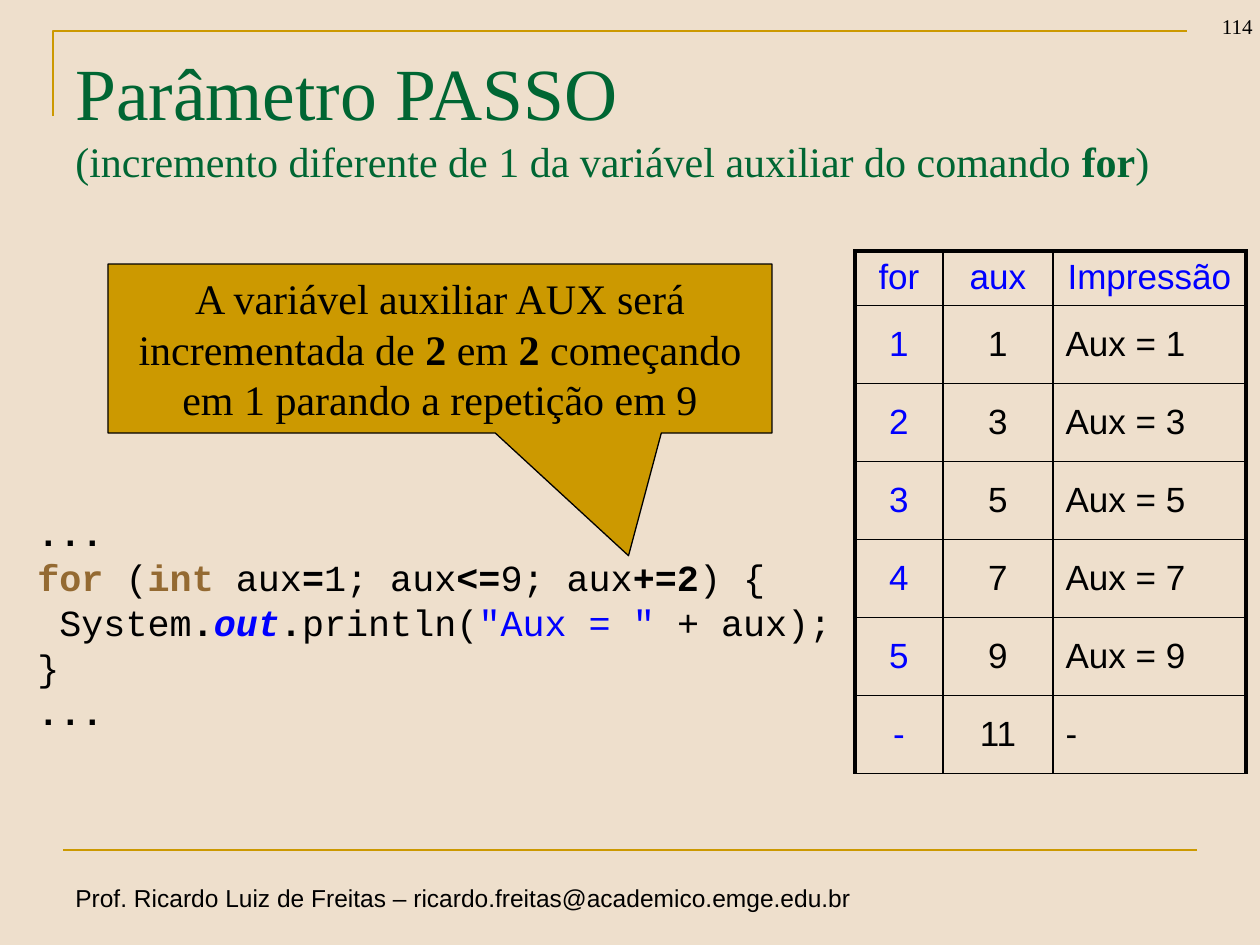
import dataclasses

import pptx
import pptx.dml.color
import pptx.enum.shapes
import pptx.enum.text
import pptx.oxml
import pptx.oxml.ns
import pptx.util

ANCHOR = pptx.enum.text.MSO_ANCHOR
ALIGN = pptx.enum.text.PP_ALIGN


@dataclasses.dataclass(frozen=True)
class Theme:
    """Hold the colours, fonts and type sizes of the slide."""

    background: str = "EEDFCC"
    gold: str = "CC9900"
    green: str = "006633"
    ink: str = "000000"
    blue: str = "0000FF"
    keyword: str = "946A32"
    serif: str = "Times New Roman"
    sans: str = "Arial"
    mono: str = "Courier New"
    title: int = 42
    subtitle: int = 24
    code: int = 21
    table: int = 20
    footer: int = 14
    number: int = 12
    rule: float = 1.5
    frame: float = 2.25
    grid: float = 1
    outline: float = 0.75


THEME = Theme()

CODE = [
    [("...", "b")],
    [("for", "bk"), (" (", ""), ("int ", "bk"), ("aux", ""), ("=", "b"), ("1; aux", ""),
     ("<=", "b"), ("9; aux", ""), ("+=2", "b"), (") {", "")],
    [(" System", ""), (".", "b"), ("out", "biu"), (".", "b"), ("println(", ""),
     ('"Aux = "', "u"), (" + aux);", "")],
    [("}", "")],
    [("...", "b")],
]

TRACE = [
    ("for", "aux", "Impressão"),
    *((str(step), str(2 * step - 1), f"Aux = {2 * step - 1}") for step in range(1, 6)),
    ("-", "11", "-"),
]


def px(length):
    """Turn pixels into EMU."""
    return pptx.util.Inches(length / 126)


def rgb(colour):
    """Turn a hex string into a colour."""
    return pptx.dml.color.RGBColor.from_string(colour)


def style_font(font, face, size, colour, marks=""):
    """Format a font; marks are b for bold and i for italic."""
    font.name = face
    font.size = pptx.util.Pt(size)
    font.color.rgb = rgb(colour)
    font.bold = "b" in marks
    font.italic = "i" in marks


def add_runs(paragraph, pieces, face, size, colour):
    """Append marked pieces; k and u switch to the keyword and blue colours."""
    accents = {"k": THEME.keyword, "u": THEME.blue}
    for text, marks in pieces:
        run = paragraph.add_run()
        run.text = text
        tint = next((accents[mark] for mark in marks if mark in accents), colour)
        style_font(run.font, face, size, tint, marks)


def add_box(slide, left, top, width, height, anchor=ANCHOR.TOP, wrap=True):
    """Add an empty text box and return its text frame."""
    frame = slide.shapes.add_textbox(px(left), px(top), px(width), px(height)).text_frame
    frame.word_wrap = wrap
    frame.vertical_anchor = anchor
    return frame


def style_line(line, colour, width):
    """Set the colour and width of a line."""
    line.color.rgb = rgb(colour)
    line.width = pptx.util.Pt(width)


def add_rules(slide):
    """Draw the corner rule at the top and the rule above the footer."""
    builder = slide.shapes.build_freeform(px(53), px(116))
    builder.add_line_segments([(px(53), px(31)), (px(1187), px(31))], close=False)
    corner = builder.convert_to_shape()
    corner.shadow.inherit = False
    corner.fill.background()
    style_line(corner.line, THEME.gold, THEME.rule)
    straight = pptx.enum.shapes.MSO_CONNECTOR.STRAIGHT
    base = slide.shapes.add_connector(straight, px(63), px(850), px(1197), px(850))
    style_line(base.line, THEME.gold, THEME.rule)
    properties = base._element.find(pptx.oxml.ns.qn("p:spPr"))
    pptx.oxml.ns.qn("a:effectLst")
    properties.append(pptx.oxml.parse_xml(f'<a:effectLst {pptx.oxml.ns.nsdecls("a")}/>'))


def add_title(slide):
    """Write the title and its smaller second line."""
    heading = add_box(slide, 63, 38, 1134, 157, ANCHOR.MIDDLE).paragraphs[0]
    add_runs(heading, [("Parâmetro PASSO", "")], THEME.serif, THEME.title, THEME.green)
    heading.add_line_break()
    subtitle = [("(incremento diferente de 1 da variável auxiliar do comando ", ""),
                ("for", "b"), (")", "")]
    add_runs(heading, subtitle, THEME.serif, THEME.subtitle, THEME.green)


def add_margins(slide):
    """Write the page number and the footer."""
    number = add_box(slide, 1171, -18, 94, 63, ANCHOR.BOTTOM).paragraphs[0]
    number.alignment = ALIGN.RIGHT
    add_runs(number, [("114", "")], THEME.serif, THEME.number, THEME.ink)
    footer = add_box(slide, 63, 877, 804, 43, wrap=False).paragraphs[0]
    credit = "Prof. Ricardo Luiz de Freitas – ricardo.freitas@academico.emge.edu.br"
    add_runs(footer, [(credit, "")], THEME.sans, THEME.footer, THEME.ink)


def add_code(slide):
    """Write the loop listing."""
    frame = add_box(slide, 25, 512, 873, 229)
    for index, pieces in enumerate(CODE):
        line = frame.add_paragraph() if index else frame.paragraphs[0]
        line.line_spacing = 0.8
        if index:
            line.space_before = pptx.util.Pt(5.5)
        add_runs(line, pieces, THEME.mono, THEME.code, THEME.ink)


def add_callout(slide):
    """Draw the callout that points at the increment."""
    kind = pptx.enum.shapes.MSO_SHAPE.RECTANGULAR_CALLOUT
    callout = slide.shapes.add_shape(kind, px(108), px(264), px(664), px(169))
    callout.adjustments[0] = 0.284
    callout.adjustments[1] = 1.226
    callout.shadow.inherit = False
    callout.fill.solid()
    callout.fill.fore_color.rgb = rgb(THEME.gold)
    style_line(callout.line, THEME.ink, THEME.outline)
    callout.text_frame.word_wrap = True
    callout.text_frame.vertical_anchor = ANCHOR.MIDDLE
    message = callout.text_frame.paragraphs[0]
    message.alignment = ALIGN.CENTER
    pieces = [("A variável auxiliar AUX será incrementada de ", ""), ("2", "b"), (" em ", ""),
              ("2", "b"), (" começando em 1 parando a repetição em 9", "")]
    add_runs(message, pieces, THEME.serif, THEME.subtitle, THEME.ink)


def set_borders(cell, widths):
    """Give a cell its left, right, top and bottom borders."""
    properties = cell._tc.get_or_add_tcPr()
    for index, (side, width) in enumerate(zip("LRTB", widths)):
        border = pptx.oxml.parse_xml(
            f'<a:ln{side} {pptx.oxml.ns.nsdecls("a")} w="{pptx.util.Pt(width)}">'
            f'<a:solidFill><a:srgbClr val="{THEME.ink}"/></a:solidFill></a:ln{side}>')
        properties.insert(index, border)


def add_trace(slide):
    """Build the table that traces each pass of the loop."""
    columns, rows = (88, 110, 193), (53, *[78] * 6)
    table = slide.shapes.add_table(len(rows), len(columns), px(855), px(251),
                                   px(sum(columns)), px(sum(rows))).table
    table.first_row = table.horz_banding = False
    for column, width in zip(table.columns, columns):
        column.width = px(width)
    for r, (row, height, values) in enumerate(zip(table.rows, rows, TRACE)):
        row.height = px(height)
        for c, (cell, value) in enumerate(zip(row.cells, values)):
            cell.fill.background()
            cell.vertical_anchor = ANCHOR.MIDDLE if r else ANCHOR.TOP
            entry = cell.text_frame.paragraphs[0]
            entry.text = value
            entry.alignment = ALIGN.LEFT if r and c == 2 else ALIGN.CENTER
            colour = THEME.blue if r == 0 or c == 0 else THEME.ink
            style_font(entry.runs[0].font, THEME.sans, THEME.table, colour)
            edges = (c == 0, c == 2, r == 0, False)
            set_borders(cell, [THEME.frame if edge else THEME.grid for edge in edges])


def main():
    """Build and save the slide."""
    deck = pptx.Presentation()
    deck.slide_width, deck.slide_height = px(1260), px(945)
    slide = deck.slides.add_slide(deck.slide_layouts[6])
    slide.background.fill.solid()
    slide.background.fill.fore_color.rgb = rgb(THEME.background)
    for draw in (add_rules, add_margins, add_code, add_trace, add_title, add_callout):
        draw(slide)
    deck.save("out.pptx")


if __name__ == "__main__":
    main()
